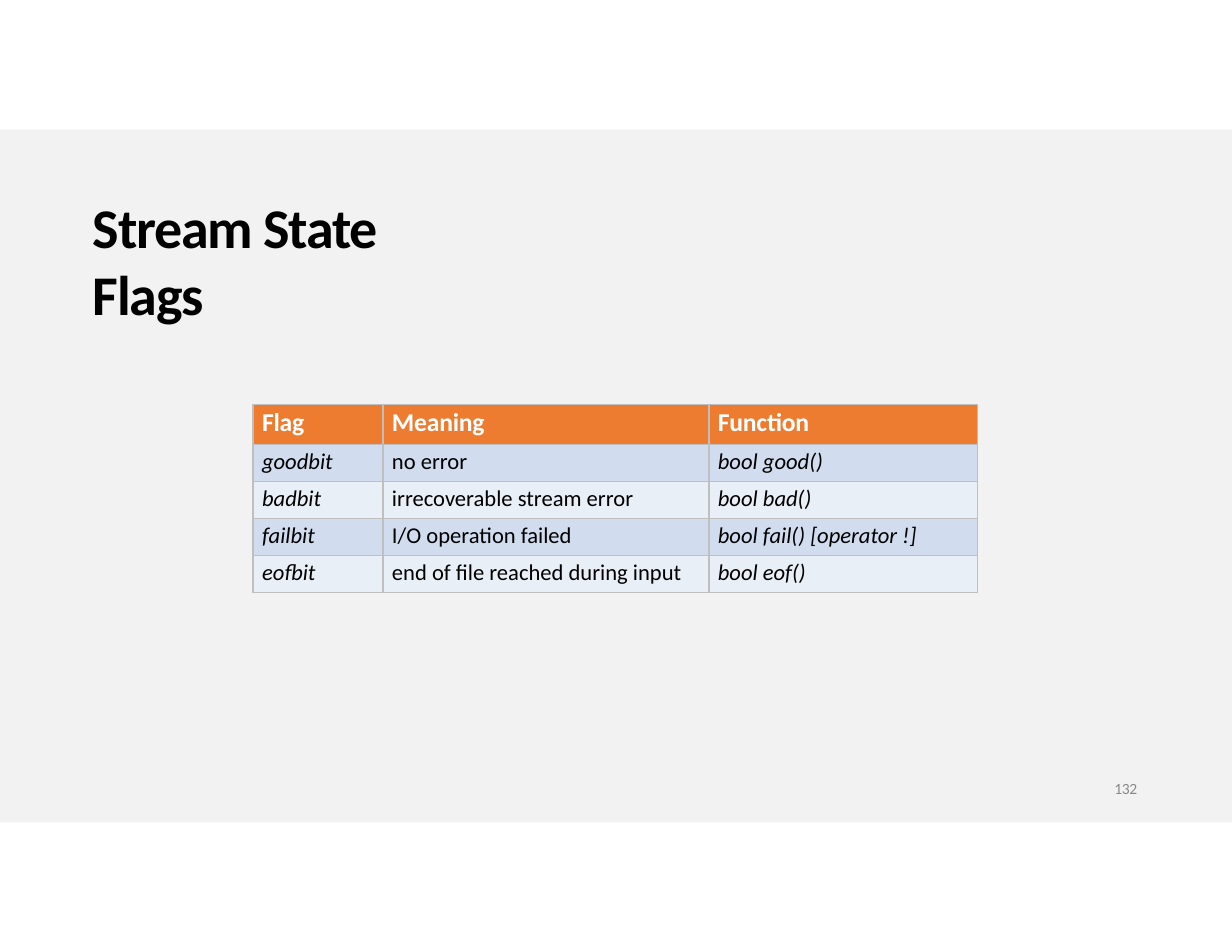
from lxml import etree
from pptx import Presentation
from pptx.dml.color import RGBColor
from pptx.enum.shapes import MSO_SHAPE
from pptx.oxml.ns import qn
from pptx.util import Inches, Pt

RECT = MSO_SHAPE.RECTANGLE
FONT = "Calibri"
EDGE = "BFBFBF"


def tint(code):
    return RGBColor.from_string(code)


def write(frame, text, size=14.5, color="000000", bold=False, slant=False,
          track=0, before=0, line=None, inset=(0, 0)):
    frame.word_wrap = True
    frame.margin_left, frame.margin_top = map(Inches, inset)
    frame.margin_right = frame.margin_bottom = 0
    para = frame.paragraphs[0]
    para.space_before = Pt(before)
    if line:
        para.line_spacing = Pt(line)
    run = para.add_run()
    run.text = text
    font = run.font
    font.name, font.size = FONT, Pt(size)
    font.bold, font.italic = bold, slant
    font.color.rgb = tint(color)
    run._r.get_or_add_rPr().set("spc", str(round(track * 100)))


deck = Presentation()
deck.slide_width, deck.slide_height = Inches(11), Inches(8.5)
wide = deck.slide_width
slide = deck.slides.add_slide(deck.slide_layouts[6])
shapes = slide.shapes

# Grey band: a 16:9 area centred on the page
tall = wide * 9 // 16
band = shapes.add_shape(RECT, 0, (deck.slide_height - tall) // 2, wide, tall)
band.shadow.inherit = False
band.fill.solid()
band.fill.fore_color.rgb = tint("F2F2F2")
band.line.fill.background()

# Title
title = shapes.add_textbox(Inches(0.83), Inches(1.7), Inches(3.6), Inches(0.63))
write(title.text_frame, "Stream State Flags", size=36, bold=True, track=-0.8,
      before=1.4, inset=(0, 0.02))

# Flag table
rows = [
    ("Flag", "Meaning", "Function"),
    ("goodbit", "no error", "bool good()"),
    ("badbit", "irrecoverable stream error", "bool bad()"),
    ("failbit", "I/O operation failed", "bool fail() [operator !]"),
    ("eofbit", "end of file reached during input", "bool eof()"),
]
cols = (1.16, 2.91, 2.4)
high = [0.36] + [0.33] * 4
table = shapes.add_table(len(rows), len(cols), Inches(2.26), Inches(3.61),
                         Inches(sum(cols)), Inches(sum(high))).table
for col, span in zip(table.columns, cols):
    col.width = Inches(span)
for r, row in enumerate(rows):
    table.rows[r].height = Inches(high[r])
    head = r == 0
    fill = "ED7C31" if head else ("E9EFF6", "D1DDEF")[r % 2]
    for c, text in enumerate(row):
        cell = table.cell(r, c)
        cell.margin_left, cell.margin_top = Inches(0.08), Inches(0.03)
        cell.margin_right = cell.margin_bottom = 0
        style = (dict(size=16.5, color="FFFFFF", bold=True, track=-0.1, before=1.9)
                 if head else dict(slant=c != 1, before=2.3))
        write(cell.text_frame, text, inset=(0.08, 0.03), **style)
        # Borders come before the fill in the cell properties
        props = cell._tc.get_or_add_tcPr()
        for side in ("lnL", "lnR", "lnT", "lnB"):
            rule = etree.SubElement(props, qn("a:" + side), w=str(Pt(1)))
            paint = etree.SubElement(rule, qn("a:solidFill"))
            etree.SubElement(paint, qn("a:srgbClr"), val=EDGE)
        cell.fill.solid()
        cell.fill.fore_color.rgb = tint(fill)

# Page number
page = shapes.add_textbox(Inches(9.95), Inches(6.98), Inches(0.28), Inches(0.17))
write(page.text_frame, "132", size=10, color="898989", track=-0.2, line=10.4)

deck.save("out.pptx")
